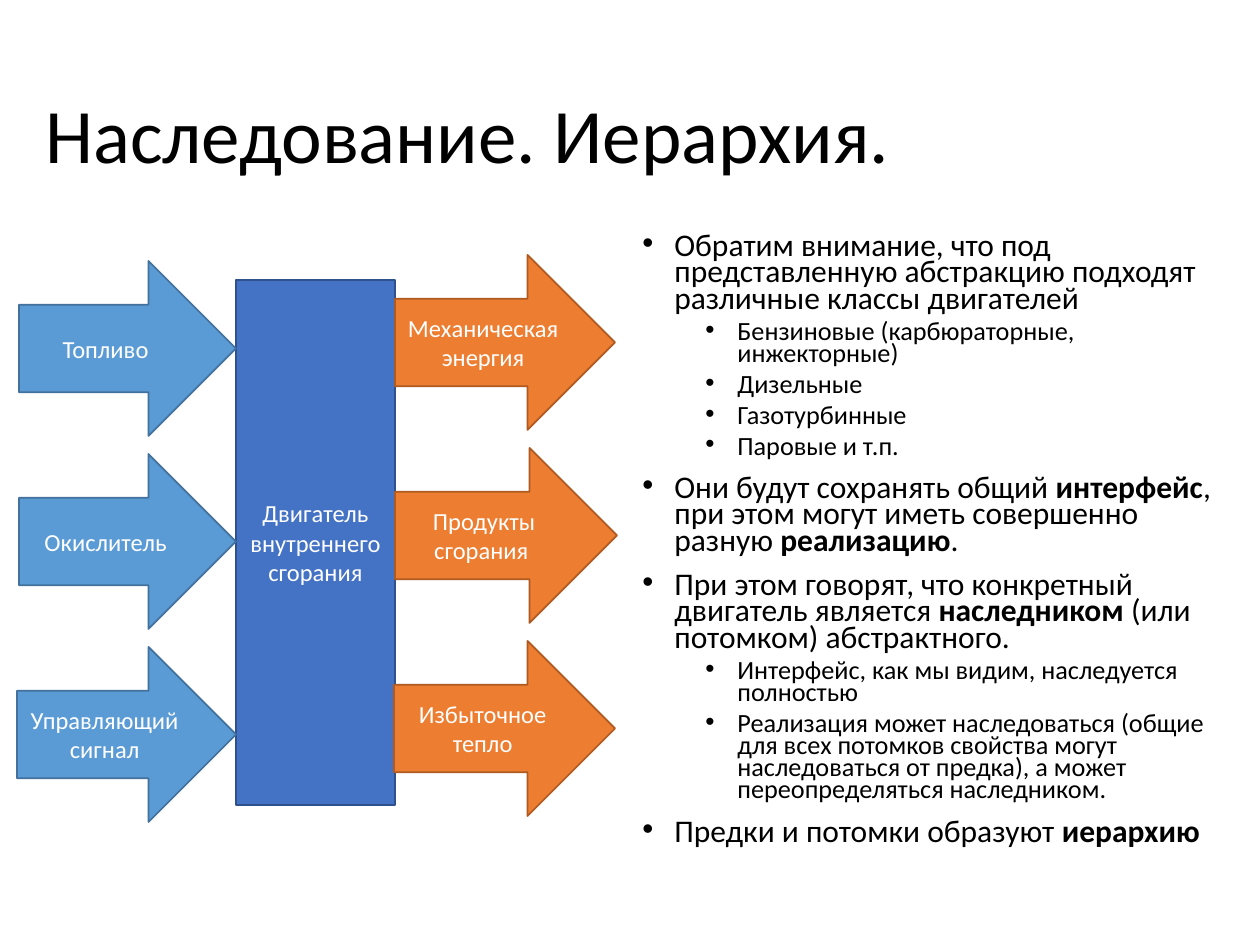
from lxml import etree
from pptx import Presentation
from pptx.dml.color import RGBColor
from pptx.enum.shapes import MSO_SHAPE
from pptx.enum.text import MSO_ANCHOR, PP_ALIGN
from pptx.oxml.ns import qn
from pptx.util import Emu, Pt

RECT, ARROW = MSO_SHAPE.RECTANGLE, MSO_SHAPE.RIGHT_ARROW
TOP, MIDDLE = MSO_ANCHOR.TOP, MSO_ANCHOR.MIDDLE
LEFT, CENTER = PP_ALIGN.LEFT, PP_ALIGN.CENTER

BLACK = RGBColor(0x00, 0x00, 0x00)
WHITE = RGBColor(0xFF, 0xFF, 0xFF)
BLUE, NAVY = RGBColor(0x44, 0x72, 0xC4), RGBColor(0x2F, 0x52, 0x8F)
SKY, STEEL = RGBColor(0x5B, 0x9B, 0xD5), RGBColor(0x41, 0x71, 0x9C)
ORANGE, RUST = RGBColor(0xED, 0x7D, 0x31), RGBColor(0xAE, 0x5A, 0x21)

FONT = "Calibri"
SCALE = 914400 / 126
STEP = 193  # distance between arrow rows
INSET = 10  # side margin that keeps the longest label word whole

# Name, left, width
INPUTS = [("Топливо", 3, 217), ("Окислитель", 3, 217),
          ("Управляющий сигнал", 1, 219)]
OUTPUTS = [("Механическая энергия", 379, 220), ("Продукты сгорания ", 379, 222),
           ("Избыточное тепло", 378, 221)]

# Level, text; asterisks enclose bold words
POINTS = [
    (0, "Обратим внимание, что под представленную абстракцию подходят "
        "различные классы двигателей"),
    (1, "Бензиновые (карбюраторные, инжекторные)"),
    (1, "Дизельные"),
    (1, "Газотурбинные"),
    (1, "Паровые и т.п."),
    (0, "Они будут сохранять общий *интерфейс*, при этом могут иметь "
        "совершенно разную *реализацию*."),
    (0, "При этом говорят, что конкретный двигатель является "
        "*наследником *(или потомком) абстрактного."),
    (1, "Интерфейс, как мы видим, наследуется полностью"),
    (1, "Реализация может наследоваться (общие для всех потомков свойства "
        "могут наследоваться от предка), а может переопределяться "
        "наследником."),
    (0, "Предки и потомки образуют *иерархию*"),
]


def px(n):
    return Emu(round(n * SCALE))


def write(par, text, size=14, color=WHITE, align=LEFT, lines=1.0, before=0):
    par.alignment = align
    par.line_spacing = lines
    par.space_before = Pt(before)
    for i, part in enumerate(text.split("*")):
        if part:
            run = par.add_run()
            run.text = part
            font = run.font
            font.name, font.size, font.bold = FONT, Pt(size), i % 2 == 1
            font.color.rgb = color


def bullet(par, left, hang):
    props = par._p.get_or_add_pPr()
    props.set("marL", str(px(left)))
    props.set("indent", str(-px(hang)))
    tint = etree.SubElement(props, qn("a:buClr"))
    etree.SubElement(tint, qn("a:srgbClr")).set("val", str(BLACK))
    etree.SubElement(props, qn("a:buFont")).set("typeface", "Arial")
    etree.SubElement(props, qn("a:buChar")).set("char", "•")


def block(slide, kind, box, texts, fill, line):
    shape = slide.shapes.add_shape(kind, *map(px, box))
    shape.shadow.inherit = False
    shape.fill.solid()
    shape.fill.fore_color.rgb = fill
    shape.line.color.rgb = line
    shape.line.width = Pt(1)
    frame = shape.text_frame
    frame.word_wrap = True
    frame.margin_left = frame.margin_right = px(INSET)
    frame.vertical_anchor = MIDDLE
    for i, text in enumerate(texts):
        par = frame.add_paragraph() if i else frame.paragraphs[0]
        write(par, text, align=CENTER)


def panel(slide, box, anchor):
    frame = slide.shapes.add_textbox(*map(px, box)).text_frame
    frame.word_wrap = True
    frame.vertical_anchor = anchor
    return frame


def title(slide, box):
    frame = panel(slide, box, MIDDLE)
    write(frame.paragraphs[0], "Наследование. Иерархия.", size=44,
          color=BLACK, lines=0.9)


def engine(slide, x, y):
    # Engine body
    block(slide, RECT, (x + 220, y + 25, 159, 525),
          ["Двигатель", "внутреннего сгорания"], BLUE, NAVY)
    # Flows out and in
    for flows, top, fill, line in ((OUTPUTS, 0, ORANGE, RUST),
                                   (INPUTS, 6, SKY, STEEL)):
        for i, (name, left, width) in enumerate(flows):
            box = (x + left, y + top + i * STEP, width, 175)
            block(slide, ARROW, box, [name], fill, line)


def points(slide, box):
    frame = panel(slide, box, TOP)
    for i, (level, text) in enumerate(POINTS):
        par = frame.add_paragraph() if i else frame.paragraphs[0]
        par.level = level
        write(par, text, size=15 if level else 18, color=BLACK, lines=0.7,
              before=5 if level else 10)
        bullet(par, 95 if level else 32, 32)


def main():
    deck = Presentation()
    deck.slide_width, deck.slide_height = px(1260), px(945)
    slide = deck.slides.add_slide(deck.slide_layouts[6])
    engine(slide, 16, 255)
    title(slide, (33, 47, 1086, 183))
    points(slide, (630, 229, 614, 665))
    deck.save("out.pptx")


if __name__ == "__main__":
    main()
